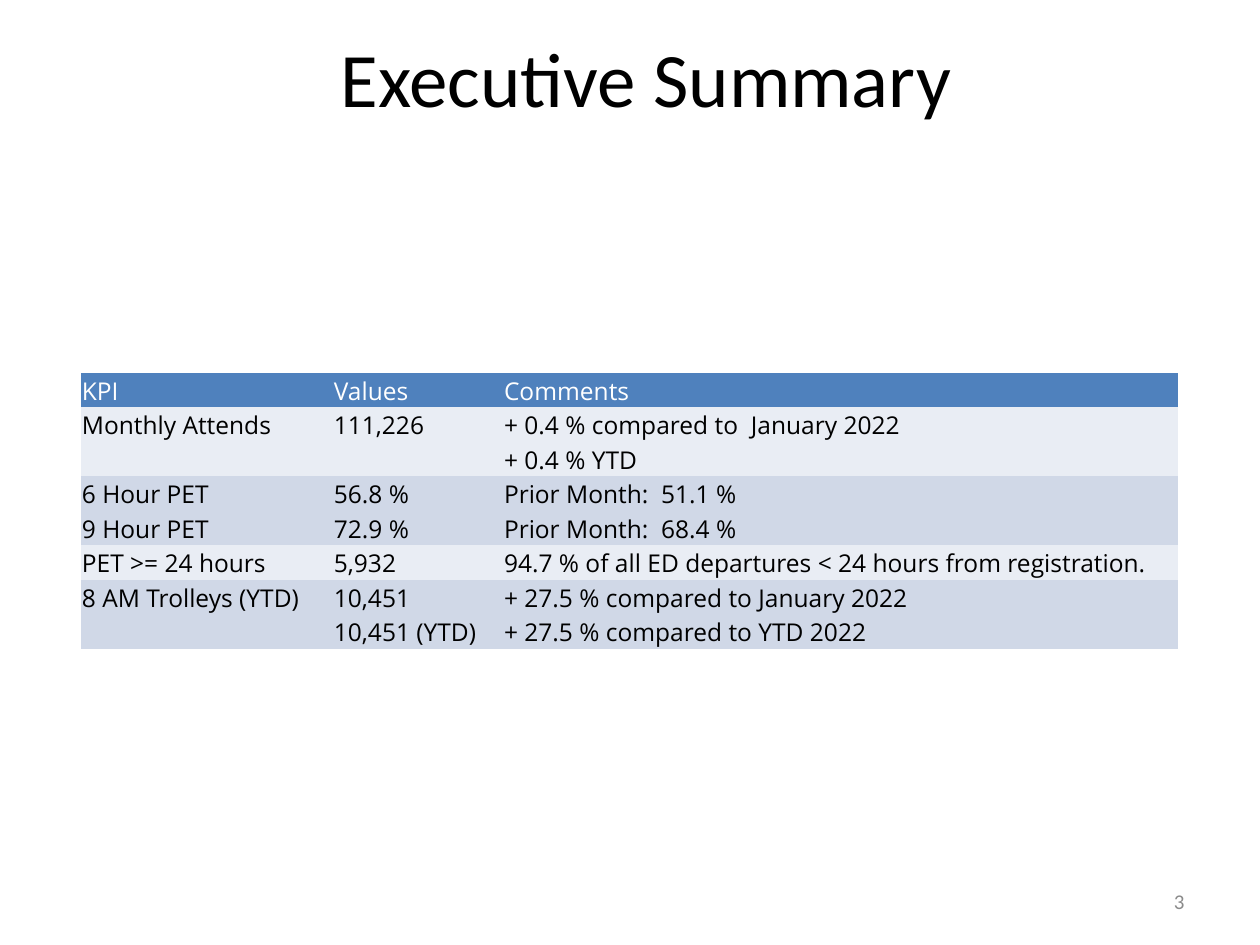
from lxml.etree import SubElement
from pptx import Presentation
from pptx.dml.color import RGBColor
from pptx.enum.text import MSO_ANCHOR, PP_ALIGN
from pptx.oxml.ns import qn
from pptx.util import Inches, Pt

# Content: each group of KPI rows shares one band colour
TITLE = "Executive Summary"
PAGE_NUMBER = "3"
HEADER = ("KPI", "Values", "Comments")
KPI_GROUPS = [
    [("Monthly Attends", "111,226", "+ 0.4 % compared to  January 2022"),
     ("", "", "+ 0.4 % YTD")],
    [("6 Hour PET", "56.8 %", "Prior Month:  51.1 %"),
     ("9 Hour PET", "72.9 %", "Prior Month:  68.4 %")],
    [("PET >= 24 hours", "5,932",
      "94.7 % of all ED departures < 24 hours from registration.")],
    [("8 AM Trolleys (YTD)", "10,451", "+ 27.5 % compared to January 2022"),
     ("", "10,451 (YTD)", "+ 27.5 % compared to YTD 2022")],
]

COLORS = {"text": "000000", "header_text": "FFFFFF", "page_number": "8B8B8B",
          "header": "4F81BD", "light_band": "E9EDF4", "dark_band": "D0D8E7"}
BANDS = ("light_band", "dark_band")
COLUMN_WIDTHS = (2, 1.35, 5.36)
TABLE_HEIGHT = 2.19
TABLE_FONT_SIZE = 14
NO_STYLE_NO_GRID = "{2D5ABB26-0587-4C30-8999-92F81FD0307C}"


def color(name):
    return RGBColor.from_string(COLORS[name])


def format_run(run, font_name, size, color_name):
    run.font.name = font_name
    run.font.size = Pt(size)
    run.font.color.rgb = color(color_name)


def add_label(slide, text, box, size, color_name, alignment):
    frame = slide.shapes.add_textbox(*map(Inches, box)).text_frame
    frame.word_wrap = True
    frame.vertical_anchor = MSO_ANCHOR.MIDDLE
    frame.text = text
    paragraph = frame.paragraphs[0]
    paragraph.alignment = alignment
    format_run(paragraph.runs[0], "Calibri", size, color_name)


def fill_cell(cell, text, fill_name, text_color):
    cell.fill.solid()
    cell.fill.fore_color.rgb = color(fill_name)
    cell.margin_left = cell.margin_right = cell.margin_top = Inches(0.01)
    cell.margin_bottom = 0
    cell.vertical_anchor = MSO_ANCHOR.BOTTOM
    paragraph = cell.text_frame.paragraphs[0]
    if text:
        paragraph.text = text
        format_run(paragraph.runs[0], "Open Sans", TABLE_FONT_SIZE, text_color)
    else:
        # An empty cell needs its own text size to keep the row height
        SubElement(paragraph._p, qn("a:endParaRPr"), sz=str(TABLE_FONT_SIZE * 100))


def add_kpi_table(slide):
    rows = [(HEADER, "header", "header_text")]
    for index, group in enumerate(KPI_GROUPS):
        rows += [(values, BANDS[index % 2], "text") for values in group]

    frame = slide.shapes.add_table(
        len(rows), len(HEADER), Inches(0.64), Inches(2.96),
        Inches(sum(COLUMN_WIDTHS)), Inches(TABLE_HEIGHT))
    table = frame.table
    table.horz_banding = False
    table._tbl.tblPr.find(qn("a:tableStyleId")).text = NO_STYLE_NO_GRID

    for column, width in zip(table.columns, COLUMN_WIDTHS):
        column.width = Inches(width)
    for row, (values, fill_name, text_color) in zip(table.rows, rows):
        row.height = Inches(TABLE_HEIGHT / len(rows))
        for cell, text in zip(row.cells, values):
            fill_cell(cell, text, fill_name, text_color)


def main():
    presentation = Presentation()
    presentation.slide_width = Inches(10)
    presentation.slide_height = Inches(7.5)
    slide = presentation.slides.add_slide(presentation.slide_layouts[6])

    # Title and page number
    add_label(slide, TITLE, (0.63, 0.13, 9, 0.95), 44, "text", PP_ALIGN.CENTER)
    add_label(slide, PAGE_NUMBER, (7.17, 6.95, 2.33, 0.4), 12, "page_number",
              PP_ALIGN.RIGHT)

    # KPI table
    add_kpi_table(slide)

    presentation.save("out.pptx")


if __name__ == "__main__":
    main()
